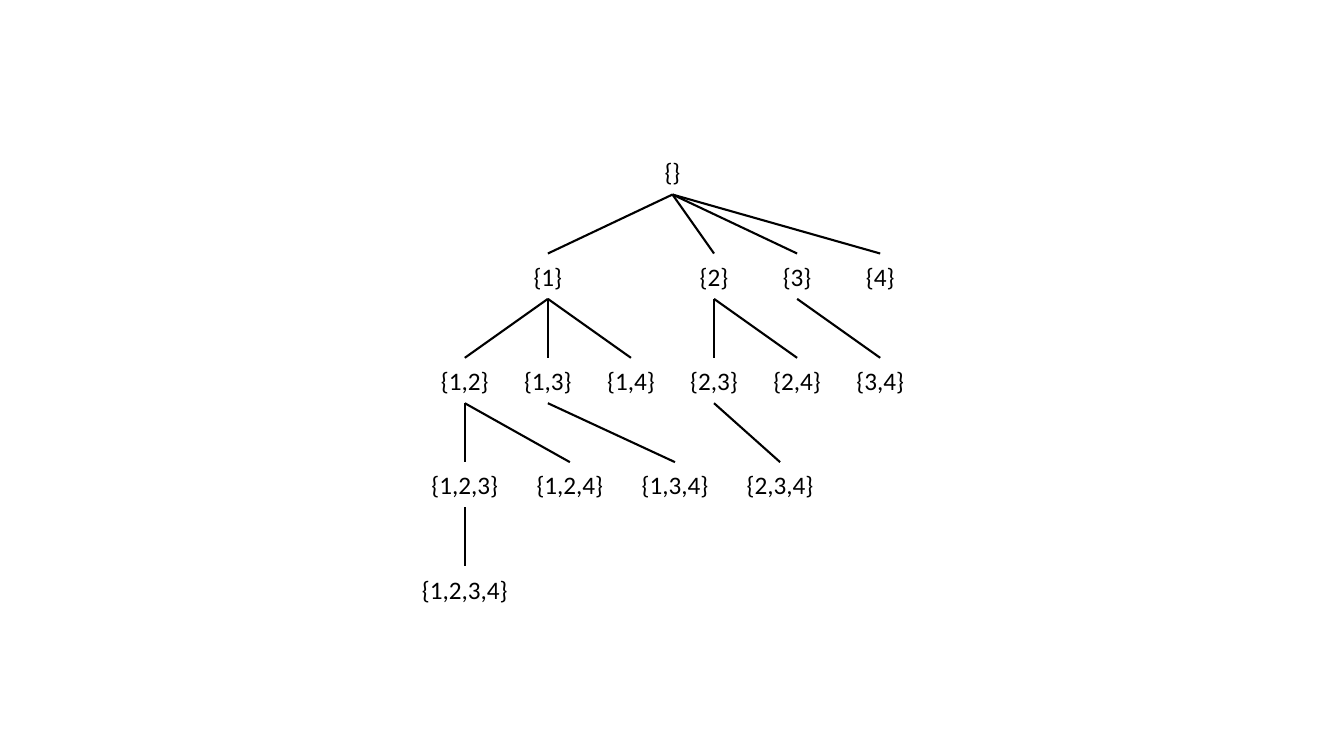
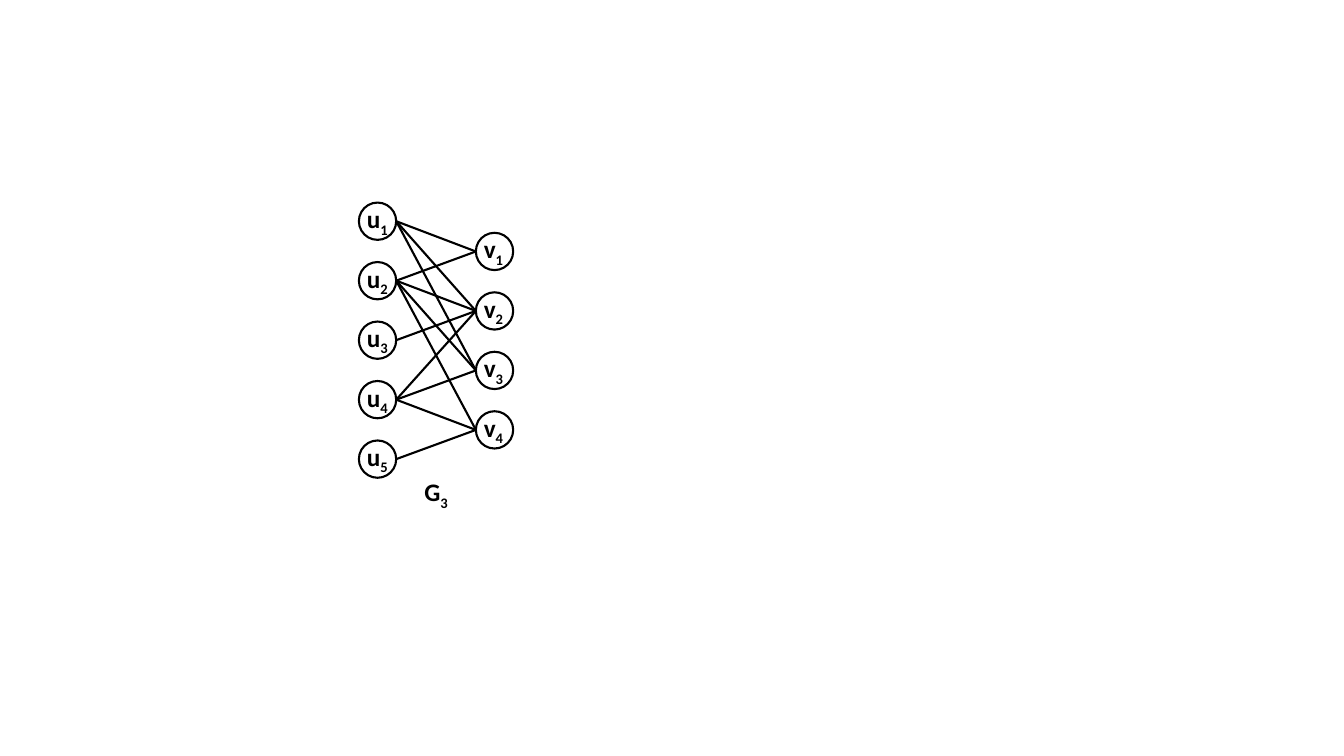
from lxml import etree
from pptx import Presentation
from pptx.dml.color import RGBColor
from pptx.enum.shapes import MSO_CONNECTOR, MSO_SHAPE
from pptx.enum.text import MSO_ANCHOR, MSO_AUTO_SIZE, PP_ALIGN
from pptx.oxml.ns import qn
from pptx.util import Inches, Pt

# Shared style
FONT, SIZE, INK, STROKE = "Calibri", 18, "000000", 1.5

prs = Presentation()
prs.slide_width, prs.slide_height = Inches(13.33), Inches(7.5)
blank = prs.slide_layouts[6]


def add_label(s, x, y, w, h, text, sub="", wrap=True):
    """Plain centred label, or a bold symbol with a subscript."""
    sp = s.shapes.add_textbox(Inches(x), Inches(y), Inches(w), Inches(h))
    tf = sp.text_frame
    tf.word_wrap = wrap
    p = tf.paragraphs[0]
    if sub:
        tf.auto_size = MSO_AUTO_SIZE.SHAPE_TO_FIT_TEXT
    else:
        tf.vertical_anchor = MSO_ANCHOR.MIDDLE
        p.alignment = PP_ALIGN.CENTER
    for part, baseline in ((text, None), (sub, "-25000")):
        if not part:
            continue
        r = p.add_run()
        r.text = part
        r.font.name, r.font.size = FONT, Pt(SIZE)
        r.font.color.rgb = RGBColor.from_string(INK)
        if sub:
            r.font.bold = True
        if baseline:
            r.font._element.set("baseline", baseline)
    return sp


def add_edge(s, x1, y1, x2, y2):
    line = s.shapes.add_connector(MSO_CONNECTOR.STRAIGHT, Inches(x1), Inches(y1),
                                  Inches(x2), Inches(y2))
    line.line.color.rgb = RGBColor.from_string(INK)
    line.line.width = Pt(STROKE)
    etree.SubElement(line._element.spPr, qn("a:effectLst"))
    return line


# Slide 1: subset tree, one row per subset size
s = prs.slides.add_slide(blank)
BOX_W, BOX_H = 1.11, 0.45
LEFT, RIGHT, TOP, BOTTOM = 4.61, 8.73, 1.48, 5.62
col = (RIGHT - LEFT) / 5
row = (BOTTOM - TOP) / 4
levels = [
    {"": 2.5},
    {"1": 1, "2": 3, "3": 4, "4": 5},
    {"12": 0, "13": 1, "14": 2, "23": 3, "24": 4, "34": 5},
    {"123": 0, "124": 1.265, "134": 2.53, "234": 3.795},
    {"1234": 0},
]
nodes = {}
for depth, level in enumerate(levels):
    for members, place in level.items():
        x, y = LEFT + place * col, TOP + depth * row
        sp = add_label(s, x - BOX_W / 2, y, BOX_W, BOX_H, "{" + ",".join(members) + "}")
        nodes[members] = (sp, x, y)

# The parent of a subset lacks its largest member
for members, (child, x, y) in nodes.items():
    if members:
        parent, px, py = nodes[members[:-1]]
        line = add_edge(s, px, py + BOX_H, x, y)
        line.begin_connect(parent, 2)
        line.end_connect(child, 0)

# Slide 2: bipartite graph
s = prs.slides.add_slide(blank)
DIAMETER, PITCH = 0.37, 0.59
sides = {"u": (3.56, 2.01, 5), "v": (4.72, 2.31, 4)}
for name, (x, top, count) in sides.items():
    for i in range(count):
        y = top + i * PITCH
        add_label(s, x - 0.02, y - 0.04, 0.48, 0.4, name, str(i + 1))
        sp = s.shapes.add_shape(MSO_SHAPE.FLOWCHART_CONNECTOR, Inches(x), Inches(y),
                                Inches(DIAMETER), Inches(DIAMETER))
        sp.shadow.inherit = False
        sp.fill.background()
        sp.line.color.rgb = RGBColor.from_string(INK)
        sp.line.width = Pt(STROKE)

# Edges from each u to its neighbours in v
neighbours = {1: [1, 2, 3], 2: [1, 2, 3, 4], 3: [2], 4: [2, 3, 4], 5: [4]}
(ux, u_top, _), (vx, v_top, _) = sides.values()
for u, linked in neighbours.items():
    for v in linked:
        add_edge(s, ux + DIAMETER, u_top + (u - 1) * PITCH + DIAMETER / 2,
                 vx, v_top + (v - 1) * PITCH + DIAMETER / 2)

# Graph name
add_label(s, 4.11, 4.68, 0.47, 0.4, "G", "3", wrap=False)

prs.save("out.pptx")
